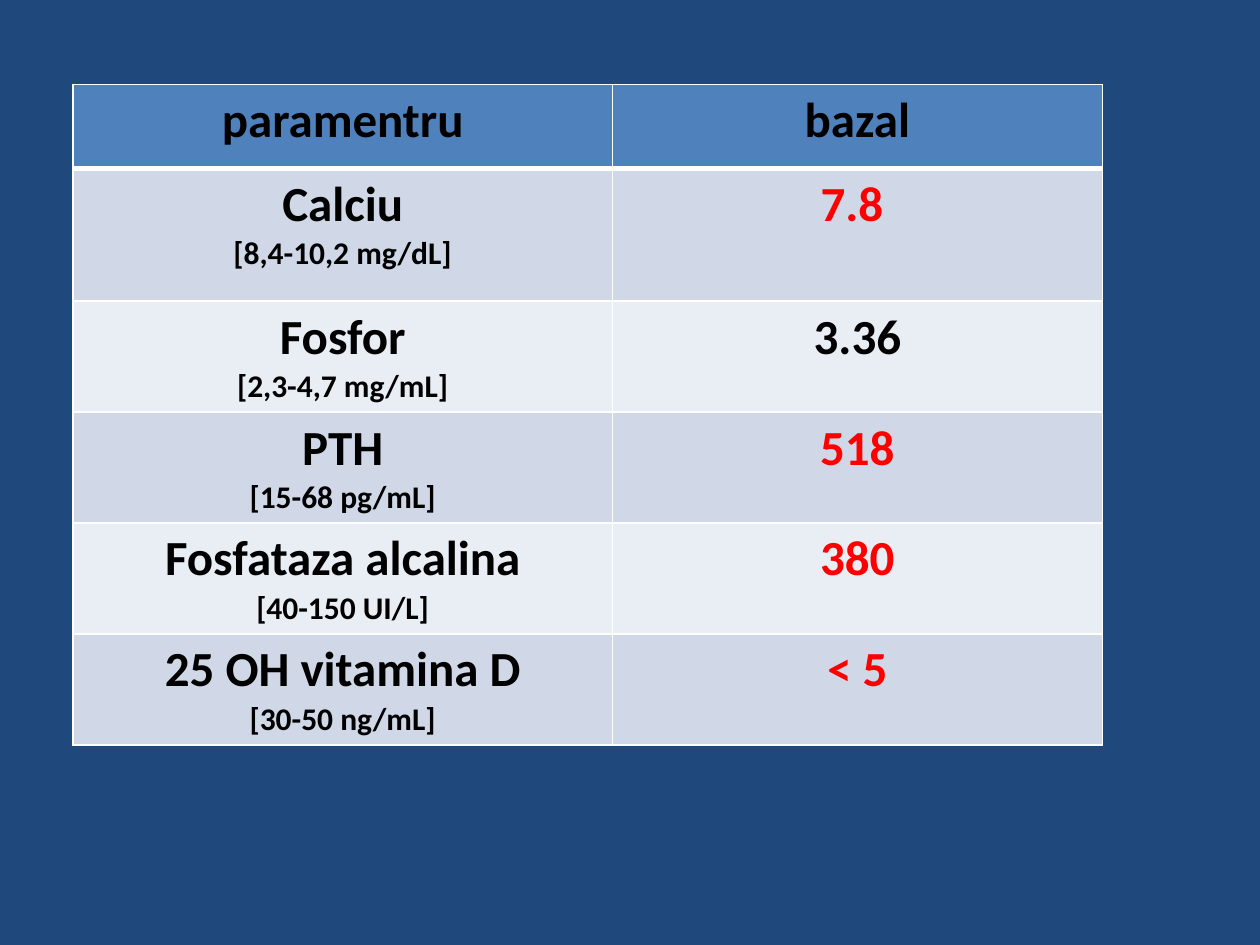
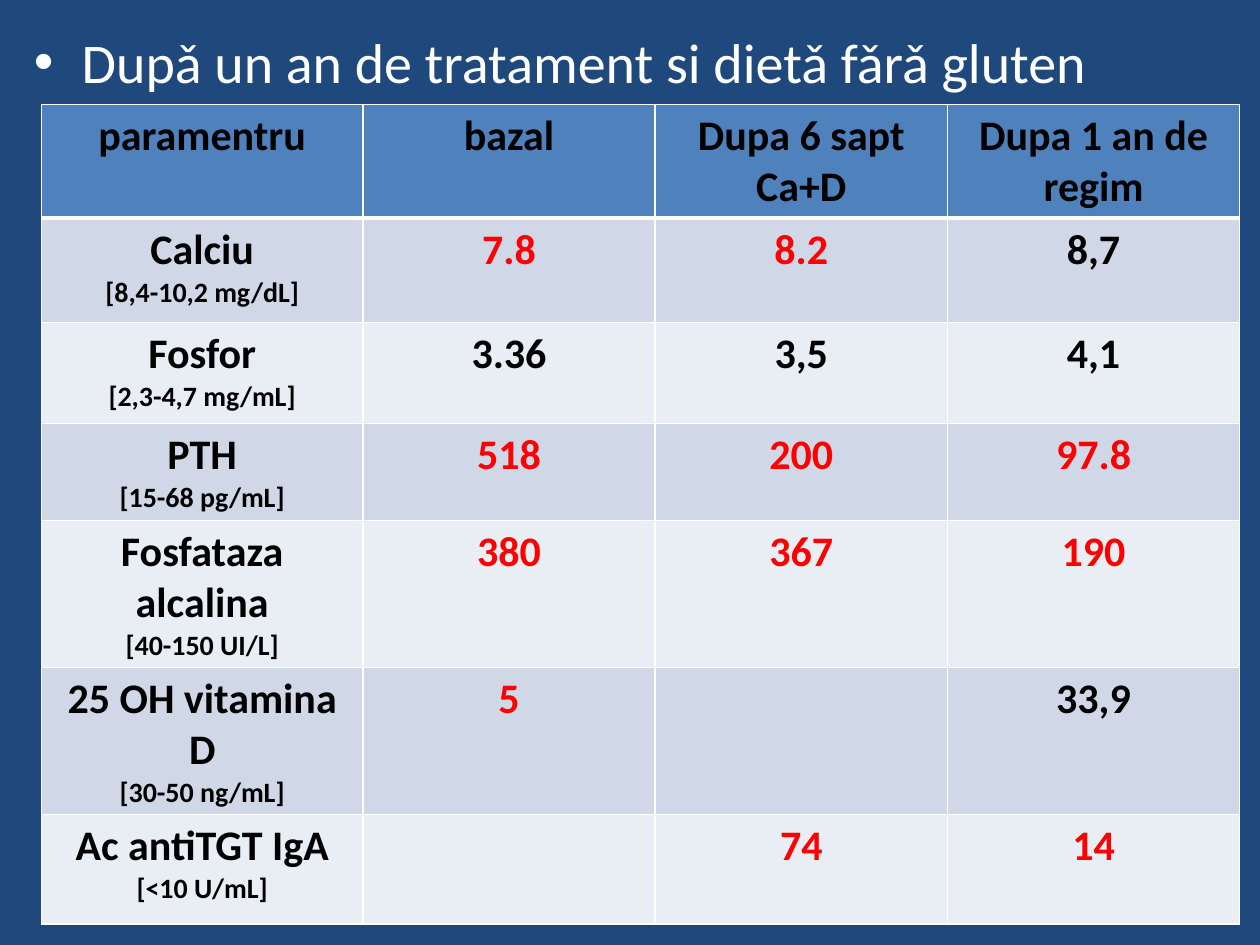
import lxml.etree
import pptx
import pptx.dml.color
import pptx.enum.text
import pptx.oxml.ns
import pptx.util

Inches = pptx.util.Inches
qn = pptx.oxml.ns.qn

ROW_HEIGHTS = [0.67, 0.83, 0.8, 0.77, 0.82, 0.87, 0.87]
PARAMETERS = [
    ("Calciu", "[8,4-10,2 mg/dL]"),
    ("Fosfor", "[2,3-4,7 mg/mL]"),
    ("PTH", "[15-68 pg/mL]"),
    ("Fosfataza alcalina", "[40-150 UI/L]"),
    ("25 OH vitamina D", "[30-50 ng/mL]"),
    ("Ac antiTGT IgA", "[<10 U/mL]"),
]
BASELINE_VALUES = [["7.8 "], ["3.36"], ["518"], ["380"], ["< 5"]]
FOLLOW_UP_VALUES = [
    ["7.8", "8.2", "8,7"],
    ["3.36", "3,5", "4,1"],
    ["518", "200", "97.8"],
    ["380", "367", "190"],
    ["5", "", "33,9"],
    ["", "74", "14"],
]
NORMAL_VALUES = {"3.36", "3,5", "4,1", "8,7", "33,9"}


def color(value):
    return pptx.dml.color.RGBColor.from_string(value)


class Deck:
    font = "Calibri"
    background = "1F497D"
    header_fill = "4F81BD"
    band_fills = ("E9EDF4", "D0D8E8")
    text_color = "000000"
    abnormal_color = "FF0000"
    light = "FFFFFF"

    def __init__(self):
        self.presentation = pptx.Presentation()
        self.presentation.slide_width = Inches(10)
        self.presentation.slide_height = Inches(7.5)
        self.slide = None

    def add_slide(self):
        self.slide = self.presentation.slides.add_slide(self.presentation.slide_layouts[6])
        fill = self.slide.background.fill
        fill.solid()
        fill.fore_color.rgb = color(self.background)

    def add_run(self, paragraph, text, size, text_color, bold):
        run = paragraph.add_run()
        run.text = text
        formats = {"name": self.font, "size": pptx.util.Pt(size), "bold": bold}
        for name, value in formats.items():
            setattr(run.font, name, value)
        run.font.color.rgb = color(text_color)

    def add_bullet(self, text, left, top, width, height, size):
        shape = self.slide.shapes.add_textbox(*map(Inches, (left, top, width, height)))
        shape.text_frame.word_wrap = True
        paragraph = shape.text_frame.paragraphs[0]
        self.add_run(paragraph, text, size, self.light, False)
        properties = paragraph._p.get_or_add_pPr()
        properties.set("marL", str(Inches(0.38)))
        properties.set("indent", str(-Inches(0.38)))
        font = lxml.etree.SubElement(properties, qn("a:buFont"))
        font.set("typeface", "Arial")
        bullet = lxml.etree.SubElement(properties, qn("a:buChar"))
        bullet.set("char", "•")

    def set_borders(self, cell, row):
        widths = {"L": 1, "R": 1, "T": 3 if row == 1 else 1, "B": 3 if row == 0 else 1}
        properties = cell._tc.get_or_add_tcPr()
        for side, width in widths.items():
            line = lxml.etree.SubElement(properties, qn("a:ln" + side))
            line.set("w", str(pptx.util.Pt(width)))
            fill = lxml.etree.SubElement(line, qn("a:solidFill"))
            lxml.etree.SubElement(fill, qn("a:srgbClr")).set("val", self.light)

    def fill_cell(self, cell, row, lines, text_color):
        self.set_borders(cell, row)
        cell.fill.solid()
        fill = self.band_fills[row % 2] if row else self.header_fill
        cell.fill.fore_color.rgb = color(fill)
        for index, (text, size) in enumerate(lines):
            frame = cell.text_frame
            paragraph = frame.add_paragraph() if index else frame.paragraphs[0]
            paragraph.alignment = pptx.enum.text.PP_ALIGN.CENTER
            if text:
                self.add_run(paragraph, text, size, text_color, True)

    def add_results(self, left, top, widths, heights, headers, values, size, range_size):
        frame = self.slide.shapes.add_table(
            len(heights), len(widths),
            *map(Inches, (left, top, sum(widths), sum(heights))))
        table = frame.table
        for column, width in zip(table.columns, widths):
            column.width = Inches(width)
        for row, height in zip(table.rows, heights):
            row.height = Inches(height)
        for column, header in enumerate(headers):
            lines = [(line, size) for line in header.split("\n")]
            self.fill_cell(table.cell(0, column), 0, lines, self.text_color)
        for row, ((name, limits), results) in enumerate(zip(PARAMETERS, values), 1):
            lines = [(name, size), (limits, range_size)]
            self.fill_cell(table.cell(row, 0), row, lines, self.text_color)
            for column, result in enumerate(results, 1):
                normal = result in NORMAL_VALUES
                text_color = self.text_color if normal else self.abnormal_color
                self.fill_cell(table.cell(row, column), row, [(result, size)], text_color)


def main():
    deck = Deck()

    deck.add_slide()
    baseline_heights = ROW_HEIGHTS[:1] + [1.05] + ROW_HEIGHTS[2:6]
    deck.add_results(0.58, 0.67, [4.28, 3.89], baseline_heights,
                     ["paramentru", "bazal"], BASELINE_VALUES, 28, 18)

    deck.add_slide()
    deck.add_bullet("Dupǎ un an de tratament si dietǎ fǎrǎ gluten", 0.17, 0.17, 9.58, 7, 32)
    deck.add_results(0.33, 0.83, [2.55] + [2.32] * 3, ROW_HEIGHTS,
                     ["paramentru", "bazal", "Dupa 6 sapt\nCa+D", "Dupa 1 an de regim"],
                     FOLLOW_UP_VALUES, 24, 16)

    deck.presentation.save("out.pptx")


if __name__ == "__main__":
    main()
